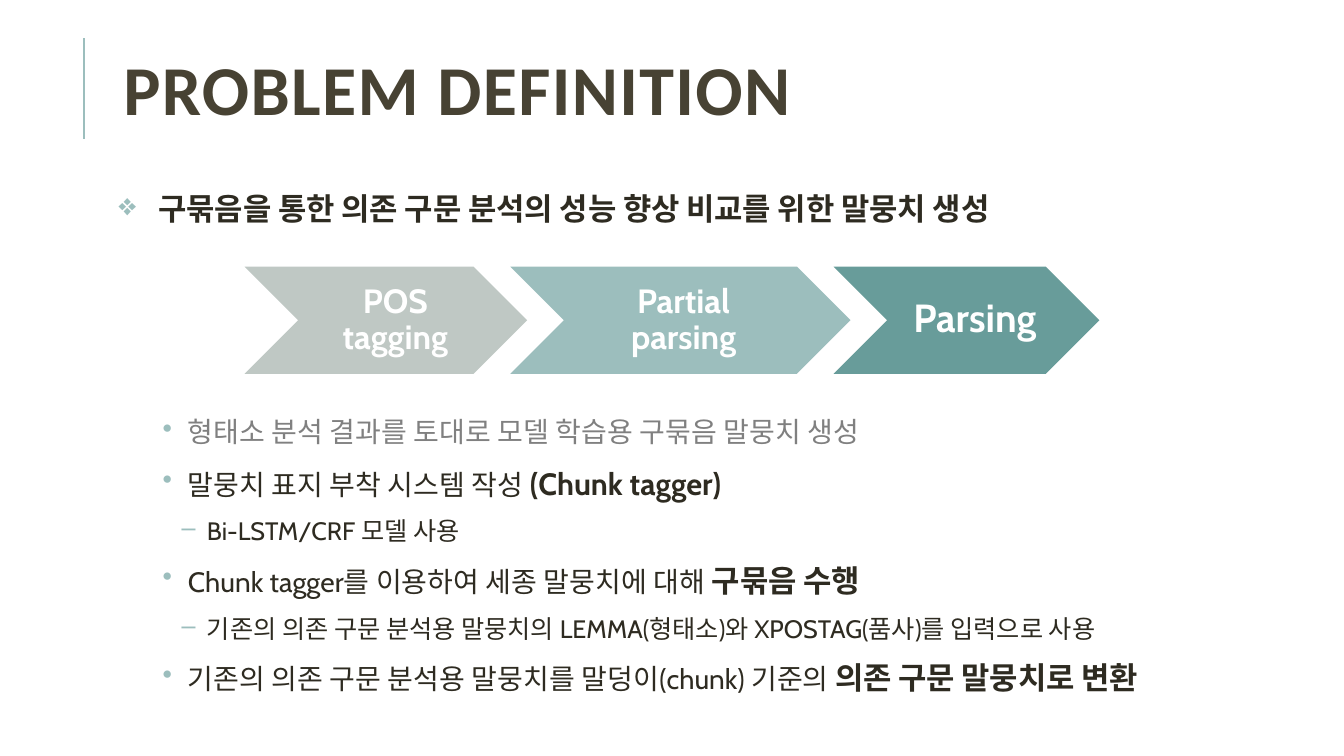
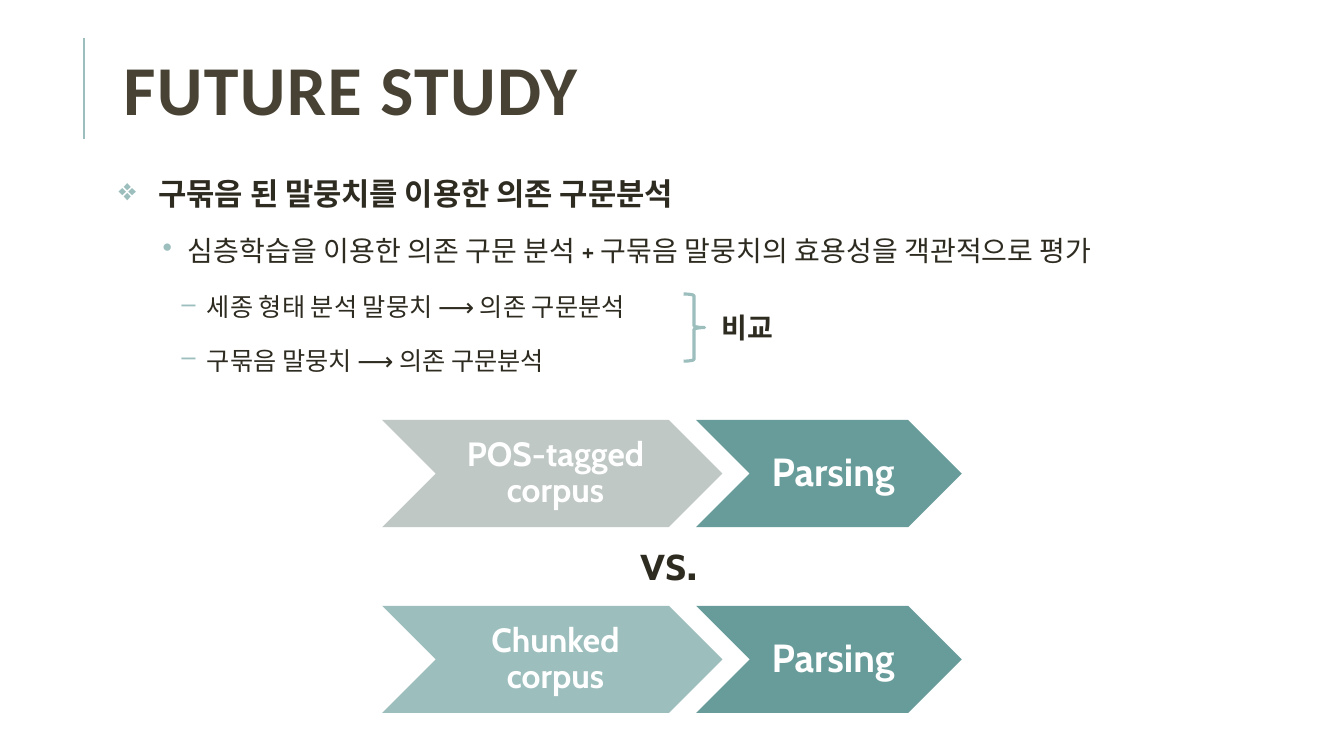
from dataclasses import dataclass

from lxml import etree
from pptx import Presentation
from pptx import util as u
from pptx.dml.color import RGBColor
from pptx.enum import shapes, text
from pptx.oxml.ns import qn

PX = 9525  # EMU in one px, 96 px to the inch


@dataclass(frozen=True)
class Theme:
    # Colours
    title: str = "474233"
    ink: str = "2E2B21"
    muted: str = "808080"
    white: str = "FFFFFF"
    accent: str = "9CBEBD"
    deep: str = "689C9A"
    pale: str = "BFC8C4"
    # Fonts
    title_font: str = "Calibri"
    body_font: str = "Cabin"
    arrow_font: str = "Noto Sans CJK KR"
    # Type sizes
    title_size: int = 50
    versus_size: int = 36
    strong_size: int = 22
    level_sizes: tuple = (22, 20, 18)


@dataclass(frozen=True)
class Level:
    mark: str
    margin: int
    hanging: int
    before: int
    after: int


@dataclass(frozen=True)
class Stage:
    label: str
    fill: str
    width: int
    size: int = 24
    pad: int = 17
    shift: int = 3


THEME = Theme()
LEVELS = (
    Level("❖", 38, 38, 12, 2),
    Level("•", 66, 24, 2, 4),
    Level("–", 84, 24, 2, 4),
)


def px(*lengths):
    return [u.Emu(length * PX) for length in lengths]


def add_run(paragraph, content, *, size, color=THEME.ink, bold=False,
            font=THEME.body_font, spacing=None):
    run = paragraph.add_run()
    run.text = content
    run.font.size = u.Pt(size)
    run.font.bold = bold
    run.font.color.rgb = RGBColor.from_string(color)
    run.font.name = font
    properties = run.font._element
    etree.SubElement(properties, qn("a:ea"), typeface=THEME.body_font)
    if spacing is not None:
        properties.set("spc", str(spacing * 100))


def add_bullet(paragraph, level):
    properties = paragraph._p.get_or_add_pPr()
    properties.set("marL", str(level.margin * PX))
    properties.set("indent", str(-level.hanging * PX))
    color = etree.SubElement(properties, qn("a:buClr"))
    etree.SubElement(color, qn("a:srgbClr"), val=THEME.accent)
    etree.SubElement(properties, qn("a:buChar"), char=level.mark)


class Deck:
    def __init__(self, theme):
        self.theme = theme
        self.presentation = Presentation()
        self.presentation.slide_width, self.presentation.slide_height = px(1280, 720)
        self.slide = None

    def new_slide(self, title):
        blank = self.presentation.slide_layouts[6]
        self.slide = self.presentation.slides.add_slide(blank)
        self.rule(80, 36, 132)
        frame = self.frame(108, 12, 1020, 157)
        frame.vertical_anchor = text.MSO_ANCHOR.MIDDLE
        heading = frame.paragraphs[0]
        heading.line_spacing = 0.8
        add_run(heading, title, size=self.theme.title_size, color=self.theme.title,
                bold=True, font=self.theme.title_font, spacing=1)

    def rule(self, x, top, bottom):
        line = self.slide.shapes.add_connector(
            shapes.MSO_CONNECTOR.STRAIGHT, *px(x, bottom, x, top))
        line.line.color.rgb = RGBColor.from_string(self.theme.accent)
        line.line.width = u.Pt(1.5)
        etree.SubElement(line._element.spPr, qn("a:effectLst"))

    def frame(self, left, top, width, height, wrap=True):
        frame = self.slide.shapes.add_textbox(*px(left, top, width, height)).text_frame
        frame.word_wrap = wrap
        return frame

    def label(self, content, left, top, width, height, size):
        frame = self.frame(left, top, width, height, wrap=False)
        add_run(frame.paragraphs[0], content, size=size, bold=True)

    def outline(self, top, height, line_spacing, items):
        """Each item is a level and its runs: plain text or (text, format)."""
        frame = self.frame(108, top, 1062, height)
        frame.margin_left, frame.margin_right = px(5, 5)
        for index, (depth, *runs) in enumerate(items):
            paragraph = frame.add_paragraph() if index else frame.paragraphs[0]
            level = LEVELS[depth]
            paragraph.level = depth
            paragraph.line_spacing = line_spacing
            paragraph.space_before = u.Pt(level.before)
            paragraph.space_after = u.Pt(level.after)
            add_bullet(paragraph, level)
            for run in runs:
                content, style = (run, {}) if isinstance(run, str) else run
                base = {"size": self.theme.level_sizes[depth], "bold": depth == 0}
                add_run(paragraph, content, **(base | style))

    def preset(self, kind, left, top, width, height):
        shape = self.slide.shapes.add_shape(kind, *px(left, top, width, height))
        shape.shadow.inherit = False
        return shape

    def flow(self, left, top, overlap, stages):
        for stage in stages:
            chevron = self.preset(shapes.MSO_SHAPE.CHEVRON, left, top, stage.width, 102)
            chevron.fill.solid()
            chevron.fill.fore_color.rgb = RGBColor.from_string(stage.fill)
            chevron.line.fill.background()
            frame = chevron.text_frame
            frame.word_wrap = True
            frame.vertical_anchor = text.MSO_ANCHOR.MIDDLE
            frame.margin_left, frame.margin_right = px(
                stage.pad + stage.shift, stage.pad - stage.shift)
            frame.margin_top, frame.margin_bottom = px(4, 4)
            caption = frame.paragraphs[0]
            caption.alignment = text.PP_ALIGN.CENTER
            caption.line_spacing = 0.9
            add_run(caption, stage.label, size=stage.size,
                    color=self.theme.white, bold=True)
            left += stage.width - overlap

    def brace(self, left, top, width, height):
        brace = self.preset(shapes.MSO_SHAPE.RIGHT_BRACE, left, top, width, height)
        brace.fill.background()
        brace.line.color.rgb = RGBColor.from_string(self.theme.accent)
        brace.line.width = u.Pt(2.25)


def parsing(shift):
    return Stage("Parsing", THEME.deep, 253, size=28, pad=8, shift=shift)


def problem_definition(deck):
    strong = {"size": THEME.strong_size, "bold": True}
    deck.new_slide("PROBLEM DEFINITION")
    deck.outline(169, 60, 1.2, [
        (0, "구묶음을 통한 의존 구문 분석의 성능 향상 비교를 위한 말뭉치 생성"),
    ])
    # Processing steps
    deck.flow(233, 254, 16, [
        Stage("POS tagging", THEME.pale, 269, shift=9),
        Stage("Partial parsing", THEME.accent, 324),
        parsing(8),
    ])
    # Tasks
    deck.outline(384, 300, 1.2, [
        (1, ("형태소 분석 결과를 토대로 모델 학습용 구묶음 말뭉치 생성",
             {"color": THEME.muted})),
        (1, "말뭉치 표지 부착 시스템 작성 ", ("(Chunk tagger)", strong)),
        (2, "Bi-LSTM/CRF 모델 사용"),
        (1, "Chunk tagger를 이용하여 세종 말뭉치에 대해 ", ("구묶음 수행", strong)),
        (2, "기존의 의존 구문 분석용 말뭉치의 LEMMA(형태소)와 "
            "XPOSTAG(품사)를 입력으로 사용"),
        (1, "기존의 의존 구문 분석용 말뭉치를 말덩이(chunk) 기준의 ",
         ("의존 구문 말뭉치로 변환", strong)),
    ])


def future_study(deck):
    arrow = ("⟶ ", {"font": THEME.arrow_font})
    deck.new_slide("FUTURE STUDY")
    deck.outline(144, 240, 1.5, [
        (0, "구묶음 된 말뭉치를 이용한 의존 구문분석"),
        (1, "심층학습을 이용한 의존 구문 분석 + "
            "구묶음 말뭉치의 효용성을 객관적으로 평가"),
        (2, "세종 형태 분석 말뭉치 ", arrow, "의존 구문분석"),
        (2, "구묶음 말뭉치 ", arrow, "의존 구문분석"),
    ])
    # Comparison mark
    deck.brace(651, 280, 20, 64)
    deck.label("비교", 678, 291, 72, 42, THEME.level_sizes[1])
    # Competing pipelines
    for top, corpus, fill in ((400, "POS-tagged corpus", THEME.pale),
                              (577, "Chunked corpus", THEME.accent)):
        deck.flow(364, top, 25, [Stage(corpus, fill, 324), parsing(4)])
    deck.label("vs.", 601, 500, 78, 68, THEME.versus_size)


def main():
    deck = Deck(THEME)
    problem_definition(deck)
    future_study(deck)
    deck.presentation.save("out.pptx")


if __name__ == "__main__":
    main()
